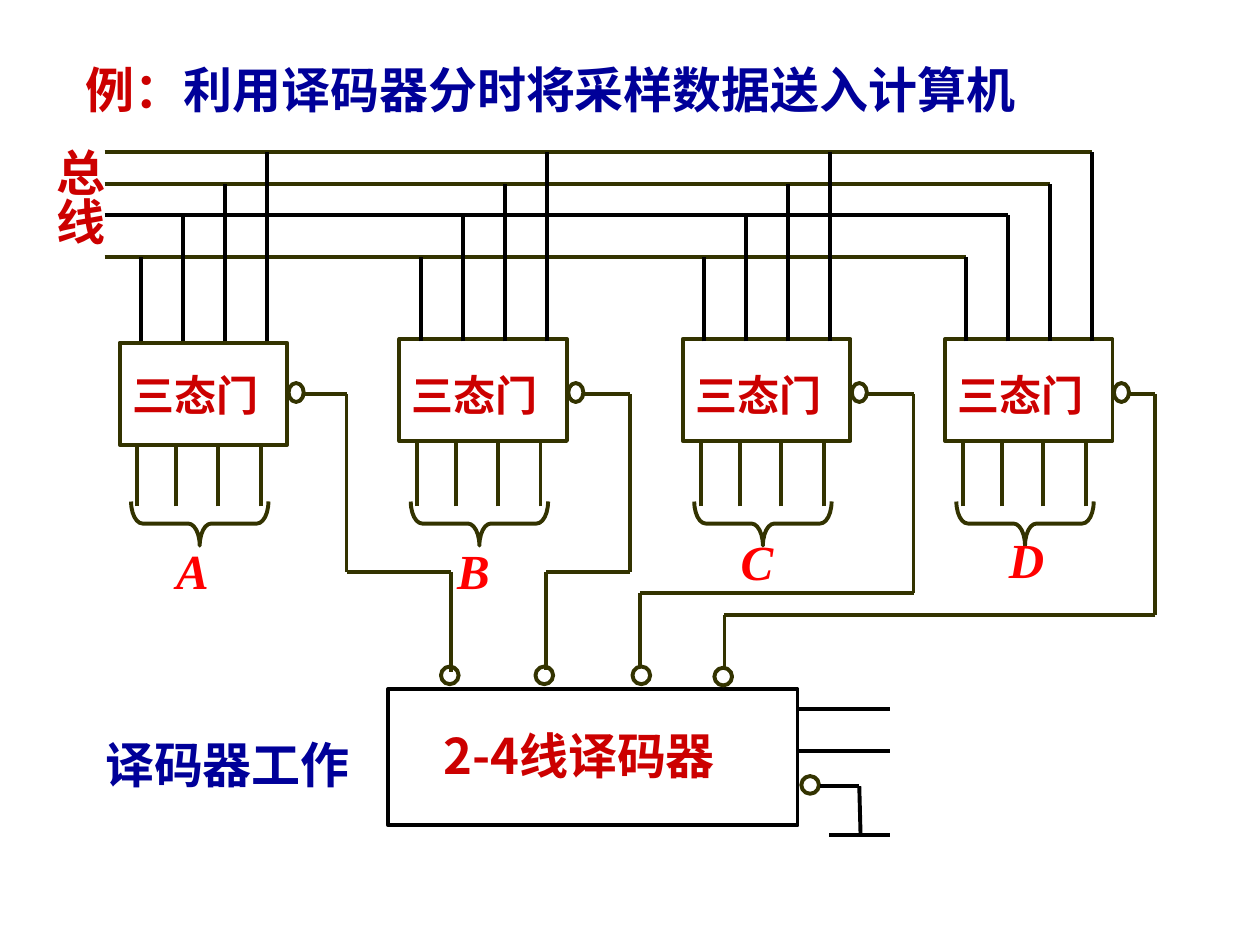
from dataclasses import dataclass
from itertools import pairwise

from pptx import Presentation
from pptx.dml.color import RGBColor
from pptx.enum.shapes import MSO_CONNECTOR, MSO_SHAPE
from pptx.enum.text import MSO_ANCHOR, MSO_AUTO_SIZE, PP_ALIGN
from pptx.oxml.ns import qn
from pptx.util import Inches, Pt


@dataclass(frozen=True)
class Theme:
    red: str = "CC0000"
    letter: str = "FF0000"
    blue: str = "000099"
    olive: str = "333300"
    black: str = "000000"
    latin: str = "Times New Roman"
    chinese: str = "Noto Sans CJK SC"
    large: int = 28
    medium: int = 24
    stroke: float = 2.25


class Diagram:
    """Holds the theme and the current slide, and draws on it."""

    def __init__(self, deck, theme):
        self.theme = theme
        self.page = deck.slides.add_slide(deck.slide_layouts[5])
        self.shapes = self.page.shapes

    def fill_frame(self, frame, spans, size=None, font=None, italic=False,
                   align=PP_ALIGN.LEFT, wrap=True, spacing=1.0):
        """Fill a text frame with one paragraph of (text, colour) spans."""
        frame_format = {
            "word_wrap": wrap, "auto_size": MSO_AUTO_SIZE.NONE,
            "vertical_anchor": MSO_ANCHOR.TOP,
            "margin_left": Inches(0.1), "margin_right": Inches(0.1),
            "margin_top": Inches(0.05), "margin_bottom": Inches(0.05),
        }
        for name, value in frame_format.items():
            setattr(frame, name, value)
        para = frame.paragraphs[0]
        para.alignment = align
        para.line_spacing = spacing
        span_format = {
            "size": Pt(size or self.theme.large), "bold": True,
            "italic": italic, "name": font or self.theme.latin,
        }
        for text, color in spans:
            span = para.add_run()
            span.text = text
            for name, value in span_format.items():
                setattr(span.font, name, value)
            span.font.color.rgb = RGBColor.from_string(color)
            # East Asian typeface, placed right after the Latin one
            latin = span.font._element.find(qn("a:latin"))
            east = latin.makeelement(qn("a:ea"), {"typeface": self.theme.chinese})
            latin.addnext(east)

    def title(self, left, top, width, height, spans):
        box = self.shapes.title
        place = {"left": left, "top": top, "width": width, "height": height}
        for name, value in place.items():
            setattr(box, name, Inches(value))
        self.fill_frame(box.text_frame, spans)

    def text(self, left, top, width, height, text, color, vertical=False, **style):
        box = self.shapes.add_textbox(*map(Inches, (left, top, width, height)))
        self.fill_frame(box.text_frame, [(text, color)], **style)
        if vertical:
            box.text_frame._txBody.bodyPr.set("vert", "eaVert")

    def outline(self, kind, left, top, width, height, color=None):
        shape = self.shapes.add_shape(kind, *map(Inches, (left, top, width, height)))
        shape.shadow.inherit = False
        shape.fill.background()
        self.stroke(shape.line, color)
        return shape

    def brace(self, left, top, width, height):
        """A brace that points down, as a left brace turned on its side."""
        shape = self.outline(MSO_SHAPE.LEFT_BRACE, left, top, width, height)
        shape.rotation = 270
        shape.adjustments[0] = 0.26

    def wire(self, *points, color=None):
        """Straight lines through the points, one after another."""
        for start, end in pairwise(points):
            line = self.shapes.add_connector(
                MSO_CONNECTOR.STRAIGHT, *map(Inches, (*start, *end)))
            self.stroke(line.line, color)
            properties = line._element.spPr
            properties.append(properties.makeelement(qn("a:effectLst"), {}))

    def stroke(self, line, color):
        line.color.rgb = RGBColor.from_string(color or self.theme.olive)
        line.width = Pt(self.theme.stroke)


BUS_START = 0.83
BUS_LEVELS = (2.04, 1.71, 1.46, 1.21)  # in the order of the gate's upper pins
PIN_GAP = 1 / 3
INPUT_PINS = (0.14, 0.45, 0.78, 1.12)
OUTPUT_LEVEL = 3.13

# letter, gate left, gate top, letter left, letter top,
# wire turn, wire lane, drop, drop end, decoder bubble left and top
GATES = (
    ("A", 0.95, 2.72, 1.3, 4.24, 2.75, 4.54, 3.58, 5.33, 3.5, 5.29),
    ("B", 3.17, 2.69, 3.53, 4.24, 5, 4.54, 4.33, 5.32, 4.25, 5.29),
    ("C", 5.42, 2.69, 5.78, 4.17, 7.25, 4.71, 5.08, 5.29, 5.02, 5.29),
    ("D", 7.5, 2.69, 7.91, 4.15, 9.17, 4.88, 5.75, 5.29, 5.67, 5.3),
)


def draw_buses(diagram, theme):
    last_pin = GATES[-1][1] + 0.17
    for index, level in enumerate(BUS_LEVELS):
        diagram.wire((BUS_START, level), (last_pin + index * PIN_GAP, level),
                     color=theme.black if index == 1 else theme.olive)
    diagram.text(0.25, 1.08, 0.66, 1.2, "总线", theme.red, vertical=True)


def draw_gate(diagram, theme, gate):
    (letter, left, top, letter_left, letter_top,
     turn, lane, drop, drop_end, bubble_left, bubble_top) = gate
    # Gate body with its output bubble
    diagram.outline(MSO_SHAPE.RECTANGLE, left, top, 1.33, 0.81)
    diagram.outline(MSO_SHAPE.OVAL, left + 1.34, 3.04, 0.12, 0.15)
    diagram.text(left, 2.88, 1.37, 0.5, "三态门", theme.red, size=theme.medium)
    # Pins up to the buses and down to the inputs
    for index, level in enumerate(BUS_LEVELS):
        pin = left + 0.17 + index * PIN_GAP
        diagram.wire((pin, 2.71), (pin, level), color=theme.black)
    for offset in INPUT_PINS:
        diagram.wire((left + offset, 4.02), (left + offset, 3.52))
    diagram.brace(left + 0.46, 3.61, 0.35, 1.09)
    diagram.text(letter_left, letter_top, 0.74, 0.57, letter, theme.letter,
                 italic=True)
    # Select wire down to the decoder
    diagram.wire((left + 1.45, OUTPUT_LEVEL), (turn, OUTPUT_LEVEL),
                 (turn, lane), (drop, lane), (drop, drop_end))
    diagram.outline(MSO_SHAPE.OVAL, bubble_left, bubble_top, 0.14, 0.14)


def draw_decoder(diagram, theme):
    diagram.outline(MSO_SHAPE.RECTANGLE, 3.08, 5.47, 3.25, 1.08, theme.black)
    diagram.text(3.42, 5.71, 2.78, 0.57, "2-4线译码器", theme.red,
                 font=theme.chinese)
    # Address inputs
    for level in (5.63, 5.96):
        diagram.wire((6.33, level), (7.06, level), color=theme.black)
    # Enable input tied to ground
    diagram.outline(MSO_SHAPE.OVAL, 6.36, 6.16, 0.14, 0.14)
    diagram.wire((6.51, 6.24), (6.82, 6.24), (6.83, 6.63), color=theme.black)
    diagram.wire((6.58, 6.63), (7.06, 6.63), color=theme.black)
    diagram.text(0.73, 5.73, 2.15, 0.61, "译码器工作", theme.blue,
                 align=PP_ALIGN.CENTER, wrap=False, spacing=1.1)


def main():
    deck = Presentation()
    deck.slide_width, deck.slide_height = Inches(10), Inches(7.5)
    theme = Theme()
    diagram = Diagram(deck, theme)
    diagram.title(0.58, 0.42, 8.92, 0.57, [
        ("例：", theme.red), ("利用译码器分时将采样数据送入计算机", theme.blue)])
    draw_buses(diagram, theme)
    draw_decoder(diagram, theme)
    for gate in GATES:
        draw_gate(diagram, theme, gate)
    deck.save("out.pptx")


if __name__ == "__main__":
    main()
